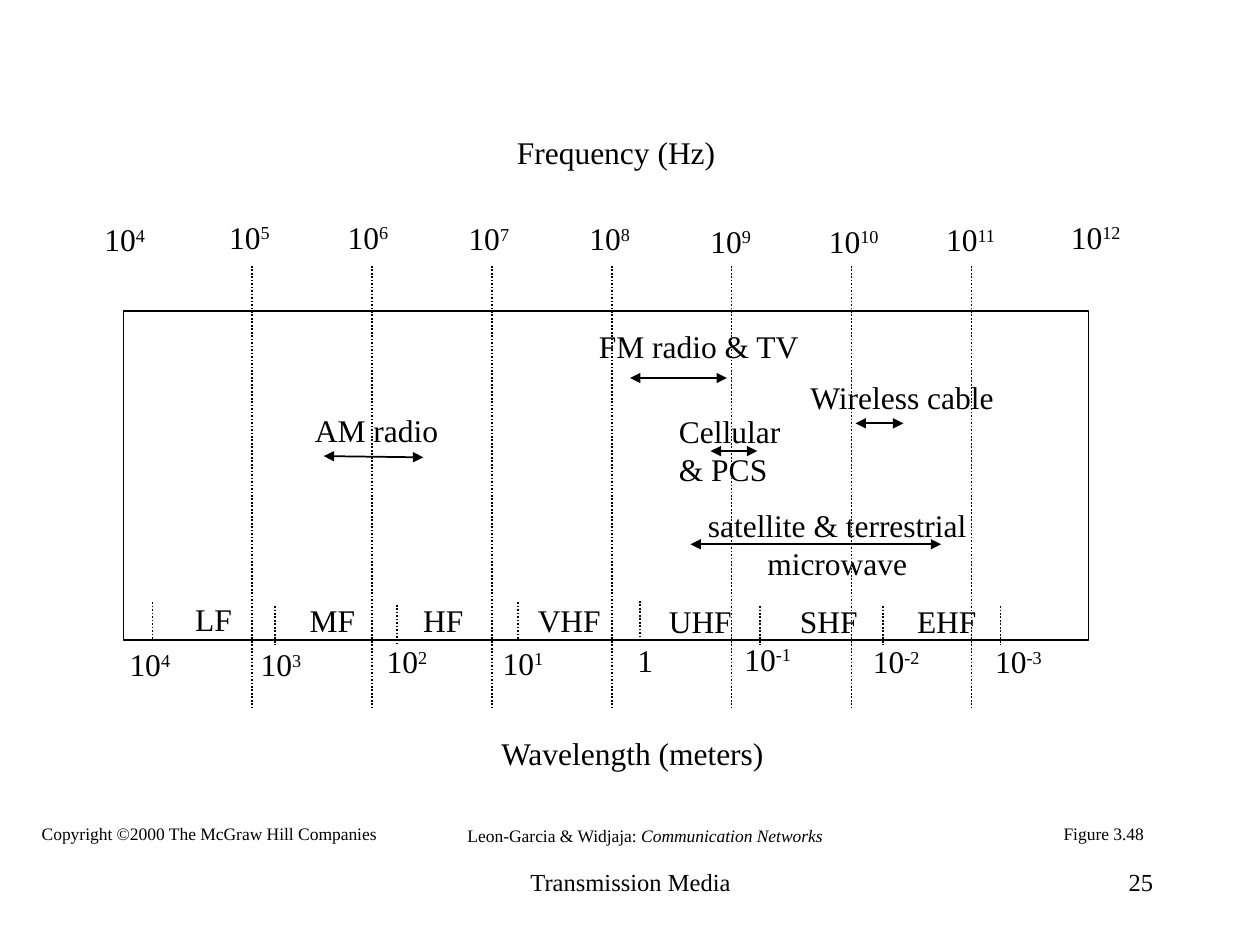
from dataclasses import dataclass

from lxml.etree import SubElement
from pptx import Presentation
from pptx.dml.color import RGBColor
from pptx.enum.dml import MSO_LINE_DASH_STYLE as Dash
from pptx.enum.shapes import MSO_CONNECTOR as Connector, MSO_SHAPE as Shape
from pptx.enum.text import MSO_ANCHOR as Anchor, MSO_AUTO_SIZE as AutoSize, PP_ALIGN as Align
from pptx.oxml.ns import qn
from pptx.slide import Slide
from pptx.text.text import _Run as Run
from pptx.util import Inches, Pt

COLORS = {"ink": "000000"}
FONT = "Times New Roman"


@dataclass
class Label:
    text: str
    left: float
    top: float
    width: float
    height: float = 0.4
    size: int = 18
    align: Align = Align.LEFT
    wrap: bool = False
    anchor: Anchor = Anchor.TOP
    power: str = ""
    italic: str = ""


@dataclass
class Segment:
    x1: float
    y1: float
    x2: float
    y2: float
    arrow: bool = False


def ink() -> RGBColor:
    return RGBColor.from_string(COLORS["ink"])


def format_run(r: Run, size: int) -> None:
    r.font.name = FONT
    r.font.size = Pt(size)
    r.font.color.rgb = ink()


def draw_label(s: Slide, label: Label) -> None:
    box = s.shapes.add_textbox(
        Inches(label.left), Inches(label.top), Inches(label.width), Inches(label.height)
    )
    tf = box.text_frame
    tf.text = label.text
    tf.word_wrap = label.wrap
    tf.auto_size = AutoSize.NONE
    tf.vertical_anchor = label.anchor
    if label.power:
        r = tf.paragraphs[0].add_run()
        r.text = label.power
        r._r.get_or_add_rPr().set("baseline", "30000")
    if label.italic:
        r = tf.paragraphs[0].add_run()
        r.text = label.italic
        r.font.italic = True
    for p in tf.paragraphs:
        p.alignment = label.align
        for r in p.runs:
            format_run(r, label.size)


def draw_segment(s: Slide, seg: Segment) -> None:
    line = s.shapes.add_connector(
        Connector.STRAIGHT, Inches(seg.x1), Inches(seg.y1), Inches(seg.x2), Inches(seg.y2)
    )
    line.line.color.rgb = ink()
    line.line.width = Pt(1)
    if seg.arrow:
        ln = line.line._get_or_add_ln()
        for end in ("a:headEnd", "a:tailEnd"):
            SubElement(ln, qn(end), type="triangle")
    else:
        line.line.dash_style = Dash.ROUND_DOT
    SubElement(line._element.spPr, qn("a:effectLst"))


def draw_spectrum_frame(s: Slide) -> None:
    sp = s.shapes.add_shape(
        Shape.RECTANGLE, Inches(0.98), Inches(2.47), Inches(7.66), Inches(2.61)
    )
    sp.shadow.inherit = False
    sp.fill.background()
    sp.line.color.rgb = ink()
    sp.line.width = Pt(1)


FREQUENCIES = [
    (0.73, 1.7), (1.72, 1.68), (2.66, 1.68), (3.62, 1.69), (4.58, 1.69),
    (5.54, 1.71), (6.48, 1.71), (7.41, 1.7), (8.4, 1.68),
]
WAVELENGTHS = [
    ("4", 0.93, 5.07, 0.53), ("3", 1.97, 5.07, 0.52), ("2", 2.97, 5.05, 0.52),
    ("1", 3.89, 5.06, 0.52), ("-1", 5.81, 5.03, 0.66), ("-2", 6.83, 5.05, 0.66),
    ("-3", 7.8, 5.05, 0.66),
]
BANDS = [
    ("LF", 1.45, 4.71, 0.49), ("MF", 2.36, 4.72, 0.56), ("HF", 3.26, 4.72, 0.52),
    ("VHF", 4.17, 4.72, 0.7), ("UHF", 5.21, 4.73, 0.7), ("SHF", 6.25, 4.73, 0.66),
    ("EHF", 7.18, 4.73, 0.67),
]
BAND_TICKS = [
    (1.21, 4.78), (2.18, 4.81), (3.15, 4.8), (4.11, 4.78),
    (5.08, 4.77), (6.03, 4.81), (7.01, 4.81), (7.94, 4.81),
]
SERVICE_RANGES = [
    Segment(5.48, 4.32, 7.47, 4.32, True),
    Segment(2.57, 3.62, 3.36, 3.63, True),
    Segment(5, 3, 5.77, 3, True),
    Segment(5.64, 3.58, 6.01, 3.58, True),
    Segment(6.79, 3.36, 7.17, 3.36, True),
]
SERVICES = [
    Label("satellite & terrestrial\nmicrowave", 5.52, 3.97, 2.25, 0.7, align=Align.CENTER),
    Label("AM radio", 2.4, 3.21, 1.18),
    Label("FM radio & TV", 4.65, 2.55, 1.79, align=Align.CENTER),
    Label("Cellular\n& PCS", 5.29, 3.22, 1, 0.7),
    Label("Wireless cable", 6.33, 2.95, 1.66, align=Align.CENTER),
]
AXIS_TITLES = [
    Label("Frequency (Hz)", 3.95, 1.01, 1.88, align=Align.CENTER, wrap=True),
    Label("Wavelength (meters)", 3.88, 5.78, 2.82, wrap=True),
]
CREDITS = [
    Label("Copyright ©2000 The McGraw Hill Companies", 0.23, 6.48, 2.86, 0.27, 10,
          Align.CENTER, anchor=Anchor.MIDDLE),
    Label("Leon-Garcia & Widjaja: ", 3.59, 6.5, 3.06, 0.27, 10,
          Align.CENTER, anchor=Anchor.MIDDLE, italic="Communication Networks"),
    Label("Figure 3.48", 8.34, 6.48, 0.84, 0.27, 10, Align.CENTER, anchor=Anchor.MIDDLE),
]
FOOTERS = [
    Label("Transmission Media", 3.42, 6.83, 3.17, 0.5, 14, Align.CENTER, True),
    Label("25", 7.17, 6.83, 2.08, 0.5, 14, Align.RIGHT, True),
]


def main() -> None:
    prs = Presentation()
    prs.slide_width, prs.slide_height = Inches(10), Inches(7.5)
    s = prs.slides.add_slide(prs.slide_layouts[6])

    draw_spectrum_frame(s)
    first_x, last_x, decades = 2, 7.71, 7
    step = (last_x - first_x) / (decades - 1)
    grid = [Segment(first_x + i * step, 2.11, first_x + i * step, 5.62) for i in range(decades)]
    ticks = [Segment(x, y, x, y + 0.31) for x, y in BAND_TICKS]
    for seg in grid + ticks + SERVICE_RANGES:
        draw_segment(s, seg)

    frequencies = [
        Label("10", x, y, 0.59 if n >= 10 else 0.52, power=str(n))
        for n, (x, y) in enumerate(FREQUENCIES, start=4)
    ]
    wavelengths = [Label("10", x, y, w, power=n) for n, x, y, w in WAVELENGTHS]
    wavelengths.append(Label("1", 4.96, 5.04, 0.32))
    bands = [Label(*band) for band in BANDS]
    for label in AXIS_TITLES + frequencies + wavelengths + bands + SERVICES + CREDITS + FOOTERS:
        draw_label(s, label)

    prs.save("out.pptx")


if __name__ == "__main__":
    main()
